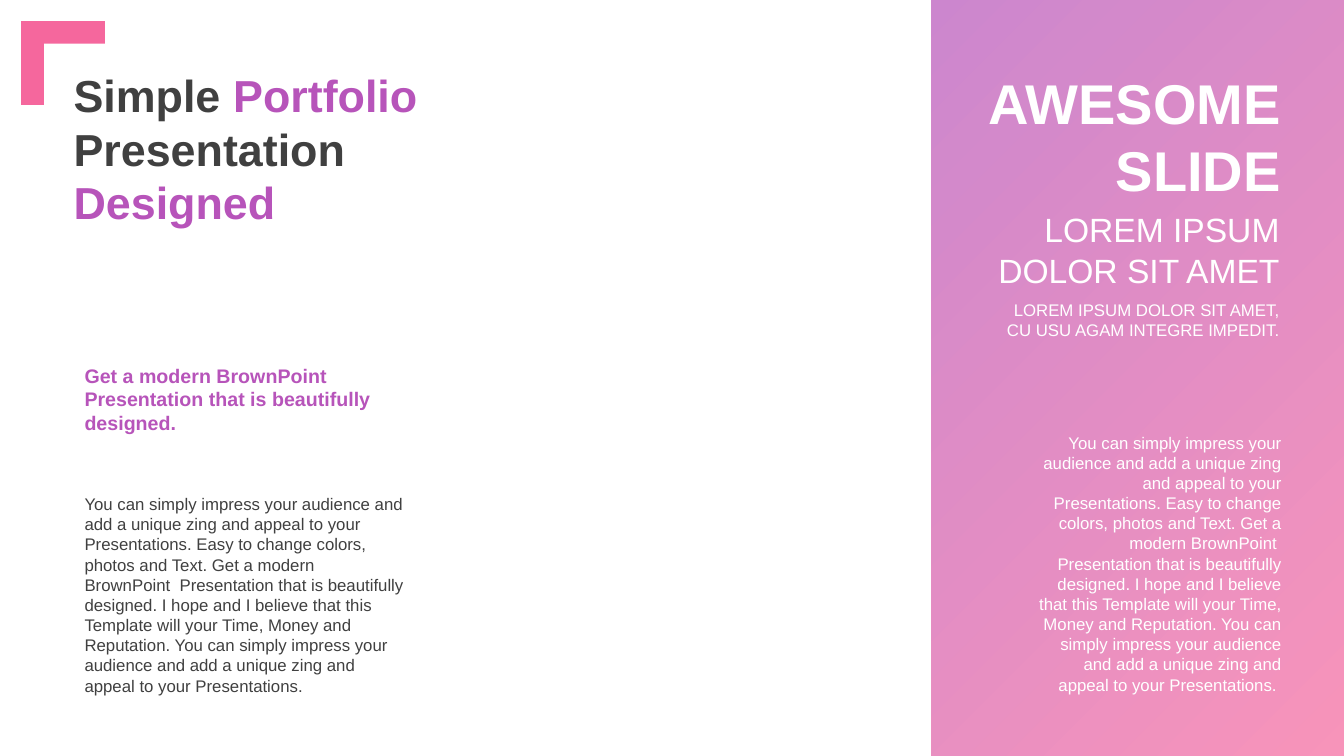
"""Build a portfolio slide with a gradient side panel."""
from lxml.etree import SubElement
from pptx import Presentation
from pptx.dml.color import RGBColor
from pptx.enum.shapes import MSO_SHAPE as Preset
from pptx.enum.text import MSO_ANCHOR as Anchor, MSO_AUTO_SIZE as AutoSize, PP_ALIGN as Align
from pptx.oxml.ns import qn
from pptx.util import Pt

EMU_PER_PX = 9144
FONT = "Arial"
COLORS = {"purple": "B754BA", "pink": "F5679D", "dark": "404040", "white": "FFFFFF"}
TAGLINE = "Get a modern BrownPoint  Presentation that is beautifully designed."
BODY = (
    "You can simply impress your audience and add a unique zing and appeal to your "
    "Presentations. Easy to change colors, photos and Text. " + TAGLINE + " I hope and "
    "I believe that this Template will your Time, Money and Reputation. You can simply "
    "impress your audience and add a unique zing and appeal to your Presentations."
)


def px(length):
    return length * EMU_PER_PX


def color(name):
    return RGBColor.from_string(COLORS[name])


def write_text(shape, paragraphs, size, bold=False, align=Align.LEFT, anchor=Anchor.TOP):
    frame = shape.text_frame
    frame.word_wrap = True
    frame.auto_size = AutoSize.SHAPE_TO_FIT_TEXT
    frame.vertical_anchor = anchor
    for index, runs in enumerate(paragraphs):
        paragraph = frame.add_paragraph() if index else frame.paragraphs[0]
        paragraph.alignment = align
        for text, color_name in runs:
            run = paragraph.add_run()
            run.text = text
            run.font.name = FONT
            run.font.size = Pt(size)
            run.font.bold = bold
            run.font.color.rgb = color(color_name)


def add_text(slide, box, paragraphs, size, **options):
    shape = slide.shapes.add_textbox(*map(px, box))
    write_text(shape, paragraphs, size, **options)


def set_title(slide, box, paragraphs, size):
    title = slide.shapes.title
    title.left, title.top, title.width, title.height = map(px, box)
    write_text(title, paragraphs, size, bold=True)


def add_plain_shape(slide, preset, box):
    shape = slide.shapes.add_shape(preset, *map(px, box))
    shape.shadow.inherit = False
    shape.line.fill.background()
    return shape


def add_gradient_panel(slide, box, color_names, angle, opacity):
    panel = add_plain_shape(slide, Preset.RECTANGLE, box)
    panel.fill.gradient()
    panel.fill.gradient_angle = angle
    for stop, name in zip(panel.fill.gradient_stops, color_names):
        stop.color.rgb = color(name)
    for stop_color in list(panel.element.iter(qn("a:srgbClr"))):
        SubElement(stop_color, qn("a:alpha"), val=str(opacity * 1000))


def add_corner(slide, box, arms, color_name):
    corner = add_plain_shape(slide, Preset.CORNER, box)
    corner.rotation = 90
    corner.fill.solid()
    corner.fill.fore_color.rgb = color(color_name)
    for index, arm in enumerate(arms):
        corner.adjustments[index] = arm


def main():
    presentation = Presentation()
    presentation.slide_width, presentation.slide_height = px(1333), px(750)
    slide = presentation.slides.add_slide(presentation.slide_layouts[5])

    add_gradient_panel(slide, (924, -1, 410, 751), ("pink", "purple"), angle=135, opacity=70)
    set_title(
        slide,
        (63, 62, 373, 172),
        [
            [("Simple ", "dark"), ("Portfolio", "purple")],
            [("Presentation ", "dark"), ("Designed", "purple")],
        ],
        32,
    )
    add_text(slide, (74, 356, 337, 81), [[(TAGLINE, "purple")]], 14, bold=True)
    add_text(slide, (74, 485, 337, 212), [[(BODY, "dark")]], 12)

    panel_texts = [
        ((967, 62, 313, 145), ("AWESOME", "SLIDE"), 40, True),
        ((966, 202, 313, 91), ("LOREM IPSUM", "DOLOR SIT AMET"), 24, False),
        ((966, 292, 313, 50),
         ("LOREM IPSUM DOLOR SIT AMET,", "CU USU AGAM INTEGRE IMPEDIT."), 12, False),
    ]
    for box, lines, size, bold in panel_texts:
        paragraphs = [[(line, "white")] for line in lines]
        add_text(slide, box, paragraphs, size, bold=bold, align=Align.RIGHT, anchor=Anchor.MIDDLE)
    add_text(slide, (1020, 424, 261, 273), [[(BODY + " ", "white")]], 12, align=Align.RIGHT)

    add_corner(slide, (21, 21, 83, 83), (0.27, 0.27), "pink")
    presentation.save("out.pptx")


if __name__ == "__main__":
    main()
